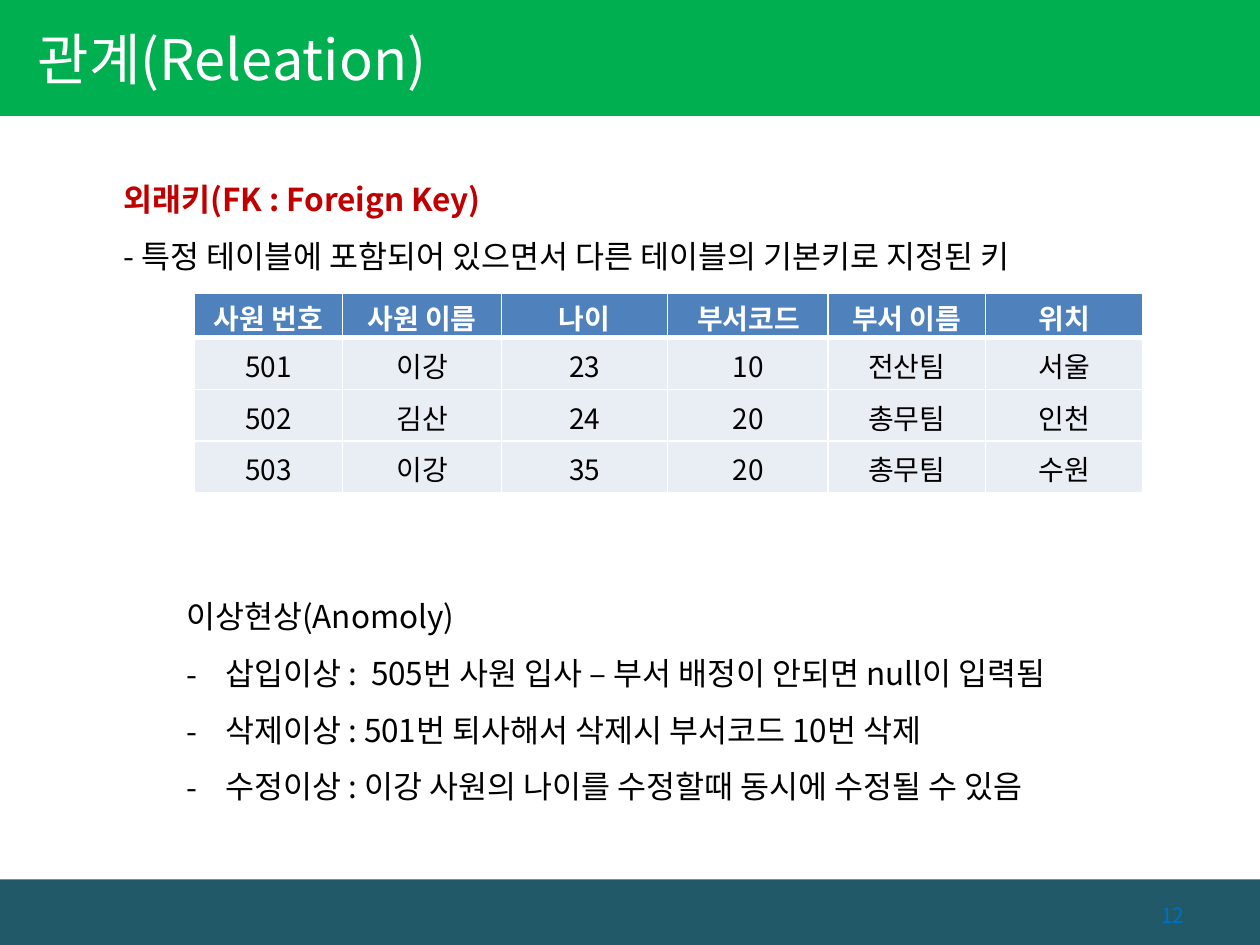
from lxml.etree import SubElement
from pptx import Presentation
from pptx.dml.color import RGBColor
from pptx.enum.shapes import MSO_SHAPE as Shape
from pptx.enum.text import MSO_ANCHOR as Anchor, PP_ALIGN as Align
from pptx.oxml.ns import qn
from pptx.util import Inches, Pt

FONT = "Noto Sans CJK KR"
COLORS = {
    "white": "FFFFFF", "black": "000000", "red": "C00000",
    "green": "00B050", "teal": "215968", "blue": "0070C0",
    "header": "4F81BD", "cell": "E9EDF4",
}
EMPLOYEES = [
    ["사원 번호", "사원 이름", "나이", "부서코드"],
    ["501", "이강", "23", "10"],
    ["502", "김산", "24", "20"],
    ["503", "이강", "35", "20"],
]
DEPARTMENTS = [
    ["부서 이름", "위치"],
    ["전산팀", "서울"],
    ["총무팀", "인천"],
    ["총무팀", "수원"],
]
ANOMALIES = [
    "삽입이상 :  505번 사원 입사 – 부서 배정이 안되면 null이 입력됨",
    "삭제이상 : 501번 퇴사해서 삭제시 부서코드 10번 삭제",
    "수정이상 : 이강 사원의 나이를 수정할때 동시에 수정될 수 있음",
]


def color(name):
    return RGBColor.from_string(COLORS[name])


def add_span(para, text, size, ink="black", bold=False):
    span = para.add_run()
    span.text = text
    span.font.name = FONT
    span.font.size = Pt(size)
    span.font.bold = bold
    span.font.color.rgb = color(ink)
    SubElement(span.font._element, qn("a:ea"), typeface=FONT)


def add_bar(page, top, height, fill):
    bar = page.shapes.add_shape(
        Shape.RECTANGLE, Inches(0), Inches(top), Inches(10), Inches(height))
    bar.shadow.inherit = False
    bar.fill.solid()
    bar.fill.fore_color.rgb = color(fill)
    bar.line.fill.background()


def add_text_box(page, left, top, width, height):
    box = page.shapes.add_textbox(
        Inches(left), Inches(top), Inches(width), Inches(height))
    box.text_frame.word_wrap = True
    return box.text_frame


def add_line(frame, text, ink="black", bold=False, left=0, bullet=None):
    para = frame.paragraphs[0]
    if para.runs:
        para = frame.add_paragraph()
    para.line_spacing = 1.5
    props = para._p.get_or_add_pPr()
    props.set("marL", str(Inches(left)))
    if bullet:
        props.set("indent", str(-Inches(left)))
        SubElement(props, qn("a:buFont"), typeface=FONT)
        SubElement(props, qn("a:buChar"), char=bullet)
    add_span(para, text, 18, ink, bold)


def set_borders(cell, is_header):
    props = cell._tc.get_or_add_tcPr()
    fill = props.find(qn("a:solidFill"))
    for side in ("lnL", "lnR", "lnT", "lnB"):
        width = 3 if is_header and side == "lnB" else 1
        line = SubElement(props, qn(f"a:{side}"), w=str(Pt(width)))
        paint = SubElement(line, qn("a:solidFill"))
        SubElement(paint, qn("a:srgbClr"), val=COLORS["white"])
    props.append(fill)  # the fill follows the borders in the schema


def add_data_table(page, left, top, widths, rows):
    heights = [0.35] + [0.41] * (len(rows) - 1)
    table = page.shapes.add_table(
        len(rows), len(widths), Inches(left), Inches(top),
        Inches(sum(widths)), Inches(sum(heights))).table
    for column, width in zip(table.columns, widths):
        column.width = Inches(width)
    for r, (values, height) in enumerate(zip(rows, heights)):
        table.rows[r].height = Inches(height)
        is_header = r == 0
        for c, value in enumerate(values):
            cell = table.cell(r, c)
            cell.vertical_anchor = Anchor.MIDDLE
            cell.margin_top = Inches(0.03)
            cell.margin_bottom = Inches(0)
            cell.fill.solid()
            cell.fill.fore_color.rgb = color("header" if is_header else "cell")
            set_borders(cell, is_header)
            para = cell.text_frame.paragraphs[0]
            para.alignment = Align.CENTER
            add_span(para, value, 16, "white" if is_header else "black", is_header)


def set_title(page, text):
    title = page.shapes.title
    title.left, title.top = Inches(0.08), Inches(-0.01)
    title.width, title.height = Inches(4.37), Inches(0.94)
    frame = title.text_frame
    frame.margin_left = Inches(0.22)
    frame.vertical_anchor = Anchor.MIDDLE
    frame.paragraphs[0].alignment = Align.LEFT
    add_span(frame.paragraphs[0], text, 32, "white")
    page.shapes._spTree.append(title._element)  # in front of the banner


def main():
    deck = Presentation()
    deck.slide_width, deck.slide_height = Inches(10), Inches(7.5)
    page = deck.slides.add_slide(deck.slide_layouts[5])

    # Footer bar and title banner
    add_bar(page, 6.98, 0.52, "teal")
    add_bar(page, 0, 0.92, "green")
    set_title(page, "관계(Releation)")

    # Foreign key definition
    definition = add_text_box(page, 0.67, 1.23, 8.82, 1.01)
    add_line(definition, "외래키(FK : Foreign Key)", "red", True, left=0.21)
    add_line(definition, "- 특정 테이블에 포함되어 있으면서 다른 테이블의 기본키로 지정된 키",
             left=0.21)

    # Anomalies
    anomalies = add_text_box(page, 1.38, 4.54, 7.87, 1.92)
    add_line(anomalies, "이상현상(Anomoly)")
    for text in ANOMALIES:
        add_line(anomalies, text, left=0.31, bullet="-")

    # Employee and department tables
    add_data_table(page, 1.54, 2.33, [1.18, 1.26, 1.32, 1.28], EMPLOYEES)
    add_data_table(page, 6.57, 2.33, [1.25, 1.25], DEPARTMENTS)

    # Page number
    number = add_text_box(page, 8.5, 7.06, 1, 0.4)
    number.vertical_anchor = Anchor.MIDDLE
    number.paragraphs[0].alignment = Align.RIGHT
    add_span(number.paragraphs[0], "12", 12, "blue")

    deck.save("out.pptx")


if __name__ == "__main__":
    main()
